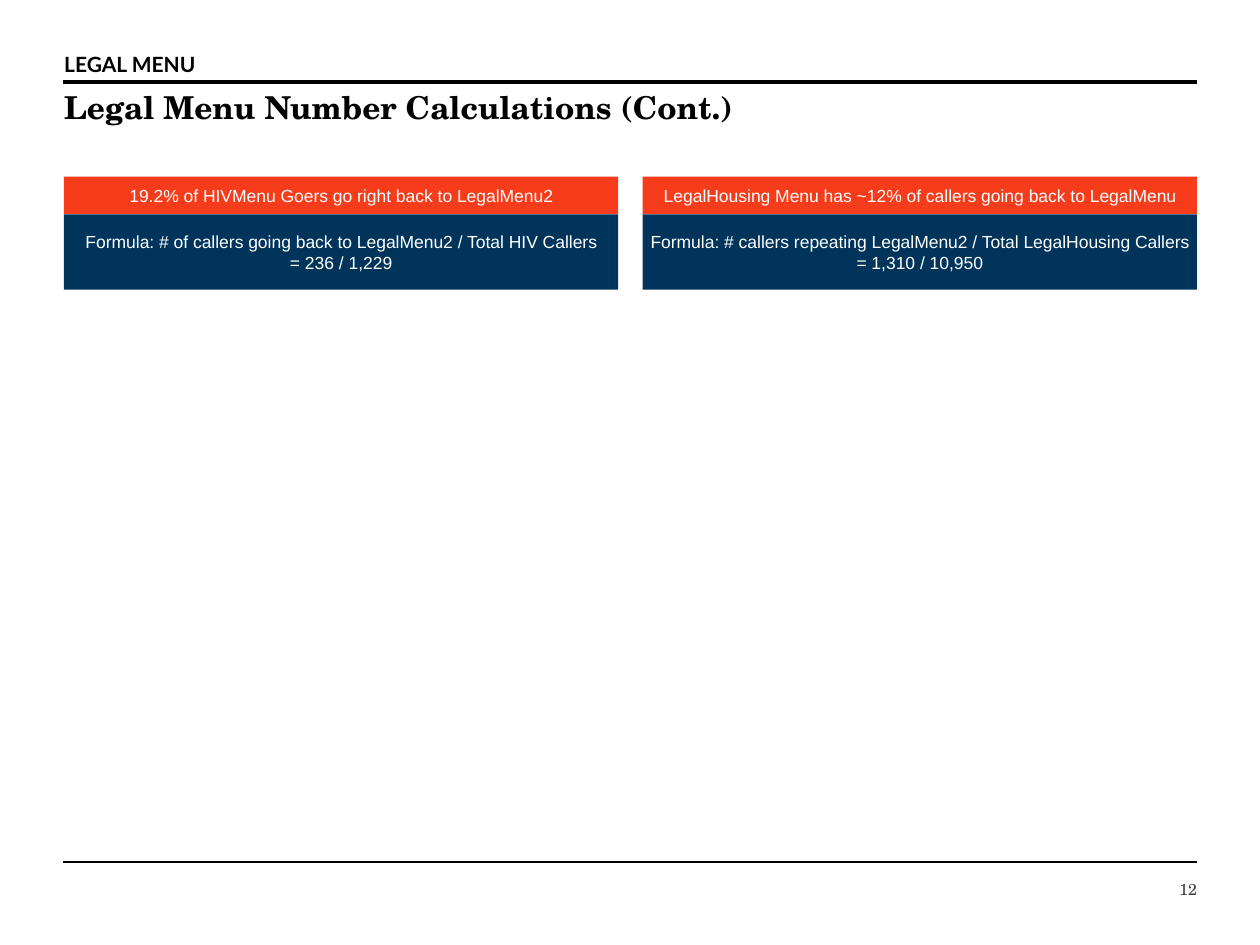
from lxml import etree
from pptx import Presentation
from pptx.dml.color import RGBColor
from pptx.enum.shapes import MSO_CONNECTOR, MSO_SHAPE
from pptx.enum.text import MSO_ANCHOR, MSO_AUTO_SIZE, PP_ALIGN
from pptx.oxml.ns import qn
from pptx.util import Pt

COLORS = {
    "black": "000000",
    "gray": "3A3838",
    "white": "FFFFFF",
    "orange": "F73C1B",
    "navy": "00345B",
}
SERIF = "TeX Gyre Schola"
LEFT, WIDTH = 36, 648
CARD_LEFT, CARD_TOP, CARD_WIDTH = 36.5, 101, 316.8
HEAD_HEIGHT, BODY_HEIGHT = 21.5, 43

CARDS = [
    ("19.2% of HIVMenu Goers go right back to LegalMenu2",
     ["Formula: # of callers going back to LegalMenu2 / Total HIV Callers",
      "= 236 / 1,229"]),
    ("LegalHousing Menu has ~12% of callers going back to LegalMenu",
     ["Formula: # callers repeating LegalMenu2 / Total LegalHousing Callers",
      "= 1,310 / 10,950"]),
]


def rgb(name):
    return RGBColor.from_string(COLORS[name])


def place(sp, left, top, width, height):
    sp.left, sp.top, sp.width, sp.height = map(Pt, (left, top, width, height))


def write(sp, lines, font, size, color, bold=False, align=PP_ALIGN.LEFT,
          anchor=MSO_ANCHOR.TOP, insets=(0.72, 3.6, 0.72, 3.6), wrap=True,
          spacing=1.0):
    tf = sp.text_frame
    tf.auto_size = MSO_AUTO_SIZE.NONE
    tf.word_wrap = wrap
    tf.vertical_anchor = anchor
    (tf.margin_left, tf.margin_top,
     tf.margin_right, tf.margin_bottom) = map(Pt, insets)
    for i, line in enumerate(lines):
        p = tf.paragraphs[0] if i == 0 else tf.add_paragraph()
        p.alignment = align
        p.line_spacing = spacing
        p.space_before = Pt(0)
        r = p.add_run()
        r.text = line
        r.font.name, r.font.size, r.font.bold = font, Pt(size), bold
        r.font.color.rgb = rgb(color)


def add_rule(s, left, top, width, weight):
    line = s.shapes.add_connector(MSO_CONNECTOR.STRAIGHT, Pt(left), Pt(top),
                                  Pt(left + width), Pt(top))
    line.line.color.rgb = rgb("black")
    line.line.width = Pt(weight)
    etree.SubElement(line._element.spPr, qn("a:effectLst"))


def add_header(s, left, top, width):
    # Section title, rule and headline
    title = s.shapes.title
    place(title, left, top, width, 17.3)
    write(title, ["LEGAL MENU"], "Lato", 12, "black", bold=True, spacing=0.9)
    add_rule(s, left, top + 19.4, width, 2.5)
    headline = s.shapes.add_textbox(Pt(left), Pt(top + 21.6), Pt(width), Pt(43))
    write(headline, ["Legal Menu Number Calculations (Cont.)"], SERIF, 18,
          "black", bold=True, spacing=0.9)


def add_footer(s, left, top, width):
    # Rule and page number
    add_rule(s, left, top, width, 1)
    number_width = 52
    number = s.shapes.add_textbox(Pt(left + width - number_width), Pt(top + 6.5),
                                  Pt(number_width), Pt(18.7))
    write(number, ["12"], SERIF, 9, "gray", align=PP_ALIGN.RIGHT,
          anchor=MSO_ANCHOR.MIDDLE, insets=(0, 3.6, 0, 3.6))


def add_card(s, left, top, width, heading, formula):
    # Orange heading band above the navy formula band
    for lines, height, fill in (([heading], HEAD_HEIGHT, "orange"),
                                (formula, BODY_HEIGHT, "navy")):
        sp = s.shapes.add_shape(MSO_SHAPE.RECTANGLE, Pt(left), Pt(top),
                                Pt(width), Pt(height))
        sp.shadow.inherit = False
        sp.fill.solid()
        sp.fill.fore_color.rgb = rgb(fill)
        sp.line.fill.background()
        write(sp, lines, "Arial", 10, "white", align=PP_ALIGN.CENTER,
              anchor=MSO_ANCHOR.MIDDLE, insets=(7.2, 1.5, 7.2, 2), wrap=False)
        top += height


def main():
    prs = Presentation()
    prs.slide_width, prs.slide_height = Pt(720), Pt(540)
    s = prs.slides.add_slide(prs.slide_layouts[5])
    add_header(s, LEFT, 27.4, WIDTH)
    add_footer(s, LEFT, 492.5, WIDTH)
    step = LEFT + WIDTH - CARD_WIDTH - CARD_LEFT
    for i, (heading, formula) in enumerate(CARDS):
        add_card(s, CARD_LEFT + i * step, CARD_TOP, CARD_WIDTH, heading, formula)
    prs.save("out.pptx")


if __name__ == "__main__":
    main()
